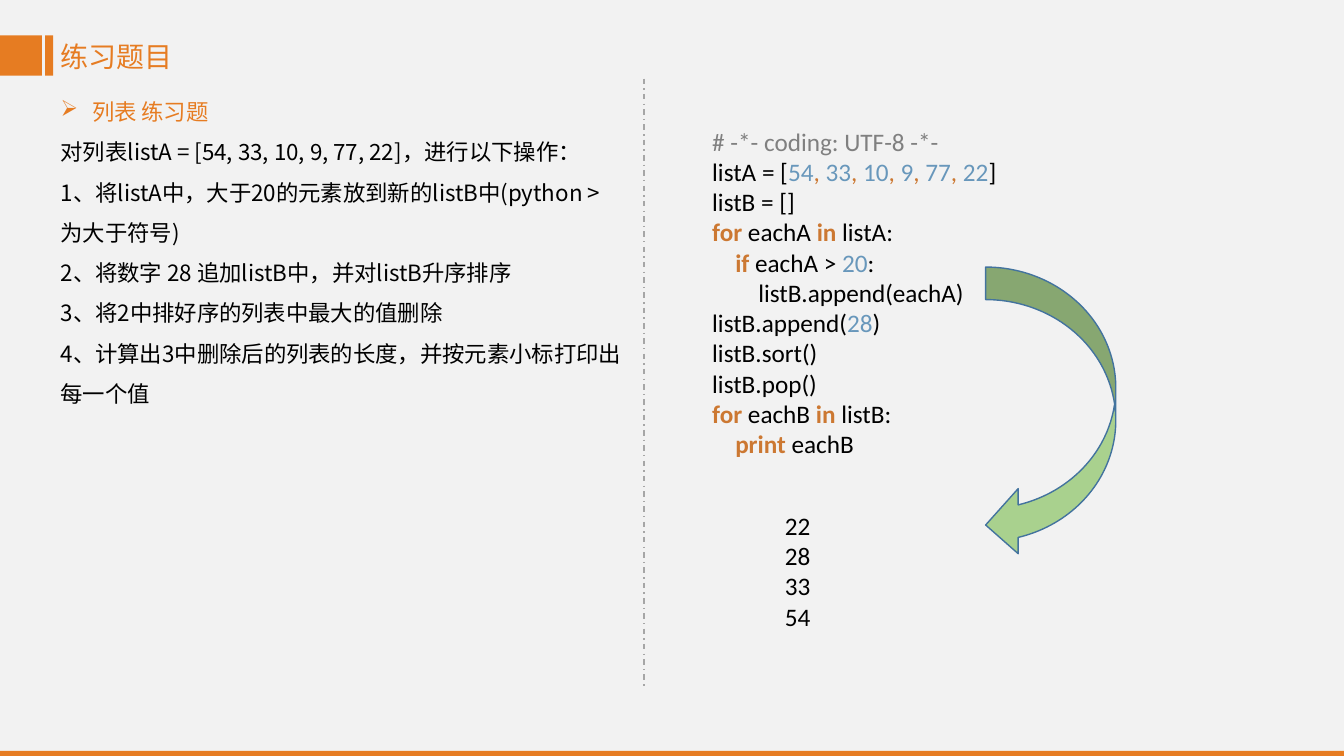
import dataclasses
import itertools

import pptx
import pptx.dml.color
import pptx.enum.dml
import pptx.enum.shapes
import pptx.enum.text
import pptx.oxml.ns
import pptx.util
from lxml import etree

Cm = pptx.util.Cm
Pt = pptx.util.Pt
Kind = pptx.enum.shapes.MSO_SHAPE


@dataclasses.dataclass(frozen=True)
class Theme:
    back: str = "F2F2F2"
    main: str = "E67C22"
    rule: str = "A6A6A6"
    leaf: str = "A9D18E"
    edge: str = "43739E"
    text: str = "000000"
    note: str = "808080"
    word: str = "CC7832"
    digit: str = "6897BB"
    hans: str = "Noto Sans CJK SC"
    latin: str = "Calibri"
    head: int = 20
    body: int = 16
    code: int = 18


@dataclasses.dataclass(frozen=True)
class Box:
    x: float
    y: float
    w: float
    h: float

    def place(self) -> tuple:
        return Cm(self.x), Cm(self.y), Cm(self.w), Cm(self.h)


@dataclasses.dataclass(frozen=True)
class Form:
    kind: int
    box: Box
    fill: str
    line: str = ""


THEME = Theme()

FORMS = [
    Form(Kind.RECTANGLE, Box(-0.03, 0.89, 1.09, 1.02), THEME.main),
    Form(Kind.RECTANGLE, Box(1.14, 0.89, 0.2, 1.02), THEME.main),
    Form(Kind.RECTANGLE, Box(0, 18.92, 33.87, 0.2), THEME.main),
    Form(Kind.CURVED_LEFT_ARROW, Box(24.84, 6.73, 3.28, 7.32), THEME.leaf, THEME.edge),
]

TASKS = [
    "列表 练习题",
    "对列表listA = [54, 33, 10, 9, 77, 22]，进行以下操作：",
    "1、将listA中，大于20的元素放到新的listB中(python > 为大于符号)",
    "2、将数字 28 追加listB中，并对listB升序排序",
    "3、将2中排好序的列表中最大的值删除",
    "4、计算出3中删除后的列表的长度，并按元素小标打印出每一个值",
]

# Indent level and text of each code line
CODE = [
    (0, "# -*- coding: UTF-8 -*-"),
    (0, "listA = [54, 33, 10, 9, 77, 22]"),
    (0, "listB = []"),
    (0, "for eachA in listA:"),
    (1, "if eachA > 20:"),
    (2, "listB.append(eachA)"),
    (0, "listB.append(28)"),
    (0, "listB.sort()"),
    (0, "listB.pop()"),
    (0, "for eachB in listB:"),
    (1, "print eachB"),
]
WORDS = {"for", "in", "if", "print"}
STEP = 0.58
RESULT = ["22", "28", "33", "54"]


def paint(hue: str) -> pptx.dml.color.RGBColor:
    return pptx.dml.color.RGBColor.from_string(hue)


def style(run, face: str, size: int, hue: str, bold: bool = False) -> None:
    font = run.font
    font.name, font.size, font.bold = face, Pt(size), bold
    font.color.rgb = paint(hue)
    east = etree.SubElement(font._element, pptx.oxml.ns.qn("a:ea"))
    east.set("typeface", face)


def indent(para, left: float, first: float = 0) -> None:
    props = para._p.get_or_add_pPr()
    props.set("marL", str(Cm(left)))
    props.set("indent", str(Cm(first)))


def draw(slide, form: Form) -> None:
    shape = slide.shapes.add_shape(form.kind, *form.box.place())
    shape.shadow.inherit = False
    shape.fill.solid()
    shape.fill.fore_color.rgb = paint(form.fill)
    if form.line:
        shape.line.color.rgb = paint(form.line)
        shape.line.width = Pt(1)
    else:
        shape.line.fill.background()


def write(slide, box: Box, lines: list[str], wrap: bool = True):
    frame = slide.shapes.add_textbox(*box.place()).text_frame
    frame.word_wrap = wrap
    frame.text = "\n".join(lines)
    return frame


def role(token: str) -> tuple[str, bool]:
    """Colour and weight of a code token."""
    if token in WORDS:
        return THEME.word, True
    if token.isdigit():
        return THEME.digit, False
    return (THEME.word if token == ", " else THEME.text), False


def split(line: str) -> list[tuple[str, str, bool]]:
    """Code line as pieces of text, colour and weight."""
    if line.startswith("#"):
        return [(line, THEME.note, False)]
    tokens = ["".join(part) for _, part in itertools.groupby(line, str.isalnum)]
    return [("".join(part), *look) for look, part in itertools.groupby(tokens, role)]


def title(slide) -> None:
    shape = slide.shapes.title
    shape.left, shape.top, shape.width, shape.height = Box(1.28, 0.86, 6, 1.12).place()
    frame = shape.text_frame
    frame.text = "练习题目"
    frame.word_wrap = True
    frame.auto_size = pptx.enum.text.MSO_AUTO_SIZE.NONE
    frame.vertical_anchor = pptx.enum.text.MSO_ANCHOR.TOP
    para = frame.paragraphs[0]
    para.alignment = pptx.enum.text.PP_ALIGN.LEFT
    style(para.runs[0], THEME.hans, THEME.head, THEME.main)


def divide(slide) -> None:
    link = pptx.enum.shapes.MSO_CONNECTOR.STRAIGHT
    line = slide.shapes.add_connector(link, Cm(16.23), Cm(1.98), Cm(16.23), Cm(17.37))
    line.line.color.rgb = paint(THEME.rule)
    line.line.width = Pt(1)
    line.line.dash_style = pptx.enum.dml.MSO_LINE.DASH_DOT
    etree.SubElement(line._element.spPr, pptx.oxml.ns.qn("a:effectLst"))


def tasks(slide) -> None:
    paras = write(slide, Box(1.28, 2.01, 14.68, 8.46), TASKS).paragraphs
    for rank, para in enumerate(paras):
        para.line_spacing = 1.5
        style(para.runs[0], THEME.hans, THEME.body, THEME.text if rank else THEME.main)
    indent(paras[0], 0.79, -0.79)
    mark = etree.SubElement(paras[0]._p.get_or_add_pPr(), pptx.oxml.ns.qn("a:buChar"))
    mark.set("char", "➢")


def code(slide) -> None:
    frame = write(slide, Box(17.7, 3.05, 10.16, 8.71), [""] * len(CODE))
    for para, (level, line) in zip(frame.paragraphs, CODE):
        indent(para, level * STEP)
        for text, hue, bold in split(line):
            run = para.add_run()
            run.text = text
            style(run, THEME.latin, THEME.code, hue, bold)


def result(slide) -> None:
    for para in write(slide, Box(19.53, 12.73, 1.17, 3.33), RESULT, False).paragraphs:
        style(para.runs[0], THEME.latin, THEME.code, THEME.text)


def main() -> None:
    deck = pptx.Presentation()
    deck.slide_width, deck.slide_height = Cm(33.87), Cm(19.05)
    slide = deck.slides.add_slide(deck.slide_layouts[5])
    slide.background.fill.solid()
    slide.background.fill.fore_color.rgb = paint(THEME.back)

    # Bars and arrow
    for form in FORMS:
        draw(slide, form)

    # Title, divider and text
    title(slide)
    divide(slide)
    tasks(slide)
    code(slide)
    result(slide)
    deck.save("out.pptx")


if __name__ == "__main__":
    main()
